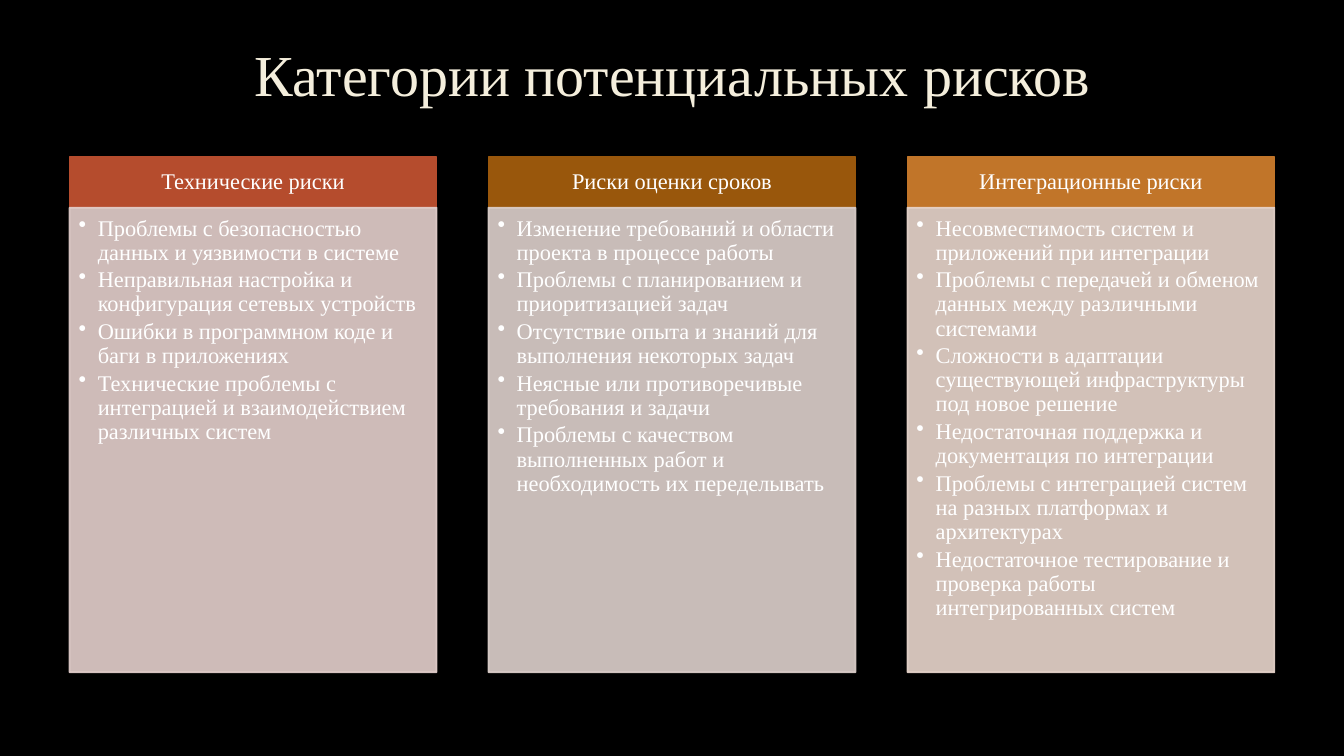
from dataclasses import dataclass

from lxml.etree import SubElement
from pptx import Presentation
from pptx.dml.color import RGBColor
from pptx.enum.shapes import MSO_SHAPE
from pptx.enum.text import MSO_ANCHOR, PP_ALIGN
from pptx.oxml import parse_xml
from pptx.oxml.ns import nsdecls, qn
from pptx.util import Inches, Pt


@dataclass(frozen=True)
class Theme:
    font: str = "Times New Roman"
    background: str = "000000"
    title: str = "F4EEDC"
    title_outline: str = "404040"
    text: str = "FFFFFF"
    title_size: float = 41.4
    text_size: float = 16
    line_spacing: float = 0.9
    border: float = 1.25
    panel_opacity: int = 90


@dataclass(frozen=True)
class Category:
    name: str
    header_color: str
    panel_color: str
    risks: tuple


THEME = Theme()
SLIDE_WIDTH, SLIDE_HEIGHT = 13.33, 7.5
GRID_LEFT, GRID_TOP = 0.69, 1.56
COLUMN_WIDTH, COLUMN_STEP = 3.64, 4.155
HEADER_HEIGHT, PANEL_HEIGHT = 0.5, 4.61
BULLET_INDENT = 0.19

CATEGORIES = (
    Category("Технические риски", "B54C2D", "E5D0CD", (
        "Проблемы с безопасностью данных и уязвимости в системе",
        "Неправильная настройка и конфигурация сетевых устройств",
        "Ошибки в программном коде и баги в приложениях",
        "Технические проблемы с интеграцией и взаимодействием различных систем",
    )),
    Category("Риски оценки сроков", "99570C", "DED1CC", (
        "Изменение требований и области проекта в процессе работы",
        "Проблемы с планированием и приоритизацией задач",
        "Отсутствие опыта и знаний для выполнения некоторых задач",
        "Неясные или противоречивые требования и задачи",
        "Проблемы с качеством выполненных работ и необходимость их переделывать",
    )),
    Category("Интеграционные риски", "C17529", "E9D6CD", (
        "Несовместимость систем и приложений при интеграции",
        "Проблемы с передачей и обменом данных между различными системами",
        "Сложности в адаптации существующей инфраструктуры под новое решение",
        "Недостаточная поддержка и документация по интеграции",
        "Проблемы с интеграцией систем на разных платформах и архитектурах",
        "Недостаточное тестирование и проверка работы интегрированных систем",
    )),
)


def format_paragraph(paragraph, size, color, alignment, space_after=0):
    paragraph.alignment = alignment
    paragraph.line_spacing = THEME.line_spacing
    paragraph.space_before = Pt(0)
    paragraph.space_after = Pt(space_after)
    paragraph.font.name = THEME.font
    paragraph.font.size = Pt(size)
    paragraph.font.color.rgb = RGBColor.from_string(color)


def add_bullet(paragraph):
    properties = paragraph._p.get_or_add_pPr()
    properties.set("marL", str(Inches(BULLET_INDENT)))
    properties.set("indent", str(-Inches(BULLET_INDENT)))
    bullet = parse_xml(f'<a:buChar {nsdecls("a")} char="•"/>')
    properties.find(qn("a:defRPr")).addprevious(bullet)


def set_opacity(shape, percent):
    """Apply one opacity to both the fill and the border."""
    for color in shape._element.spPr.iter(qn("a:srgbClr")):
        SubElement(color, qn("a:alpha")).set("val", str(percent * 1000))


def add_box(slide, column, top, height, color, anchor, insets):
    left = GRID_LEFT + column * COLUMN_STEP
    shape = slide.shapes.add_shape(
        MSO_SHAPE.RECTANGLE, Inches(left), Inches(top), Inches(COLUMN_WIDTH), Inches(height))
    shape.shadow.inherit = False
    shape.fill.solid()
    shape.fill.fore_color.rgb = RGBColor.from_string(color)
    shape.line.color.rgb = RGBColor.from_string(color)
    shape.line.width = Pt(THEME.border)
    frame = shape.text_frame
    frame.word_wrap = True
    frame.vertical_anchor = anchor
    (frame.margin_left, frame.margin_top,
     frame.margin_right, frame.margin_bottom) = map(Inches, insets)
    return shape


def add_header(slide, column, category):
    header = add_box(slide, column, GRID_TOP, HEADER_HEIGHT, category.header_color,
                     MSO_ANCHOR.MIDDLE, (0.12, 0.07, 0.12, 0.07))
    header.text_frame.text = category.name
    format_paragraph(header.text_frame.paragraphs[0], THEME.text_size, THEME.text,
                     PP_ALIGN.CENTER)


def add_risk_panel(slide, column, category):
    panel = add_box(slide, column, GRID_TOP + HEADER_HEIGHT, PANEL_HEIGHT,
                    category.panel_color, MSO_ANCHOR.TOP, (0.09, 0.09, 0.12, 0.14))
    set_opacity(panel, THEME.panel_opacity)
    panel.text_frame.text = "\n".join(category.risks)
    for paragraph in panel.text_frame.paragraphs:
        paragraph.level = 1
        format_paragraph(paragraph, THEME.text_size, THEME.text, PP_ALIGN.LEFT,
                         space_after=0.15 * THEME.text_size)
        add_bullet(paragraph)


def set_title(slide, text):
    title = slide.shapes.title
    title.left, title.top = Inches(1.01), Inches(0.38)
    title.width, title.height = Inches(11.32), Inches(0.79)
    title.text_frame.text = text
    title.text_frame.vertical_anchor = MSO_ANCHOR.MIDDLE
    paragraph = title.text_frame.paragraphs[0]
    format_paragraph(paragraph, THEME.title_size, THEME.title, PP_ALIGN.CENTER)
    outline = parse_xml(
        f'<a:ln {nsdecls("a")} w="{Pt(0.75)}"><a:solidFill>'
        f'<a:srgbClr val="{THEME.title_outline}"><a:alpha val="10000"/></a:srgbClr>'
        '</a:solidFill></a:ln>')
    paragraph.runs[0]._r.get_or_add_rPr().insert(0, outline)


def main():
    presentation = Presentation()
    presentation.slide_width = Inches(SLIDE_WIDTH)
    presentation.slide_height = Inches(SLIDE_HEIGHT)
    slide = presentation.slides.add_slide(presentation.slide_layouts.get_by_name("Title Only"))
    slide.background.fill.solid()
    slide.background.fill.fore_color.rgb = RGBColor.from_string(THEME.background)
    set_title(slide, "Категории потенциальных рисков")
    for column, category in enumerate(CATEGORIES):
        add_header(slide, column, category)
        add_risk_panel(slide, column, category)
    presentation.save("out.pptx")


if __name__ == "__main__":
    main()
